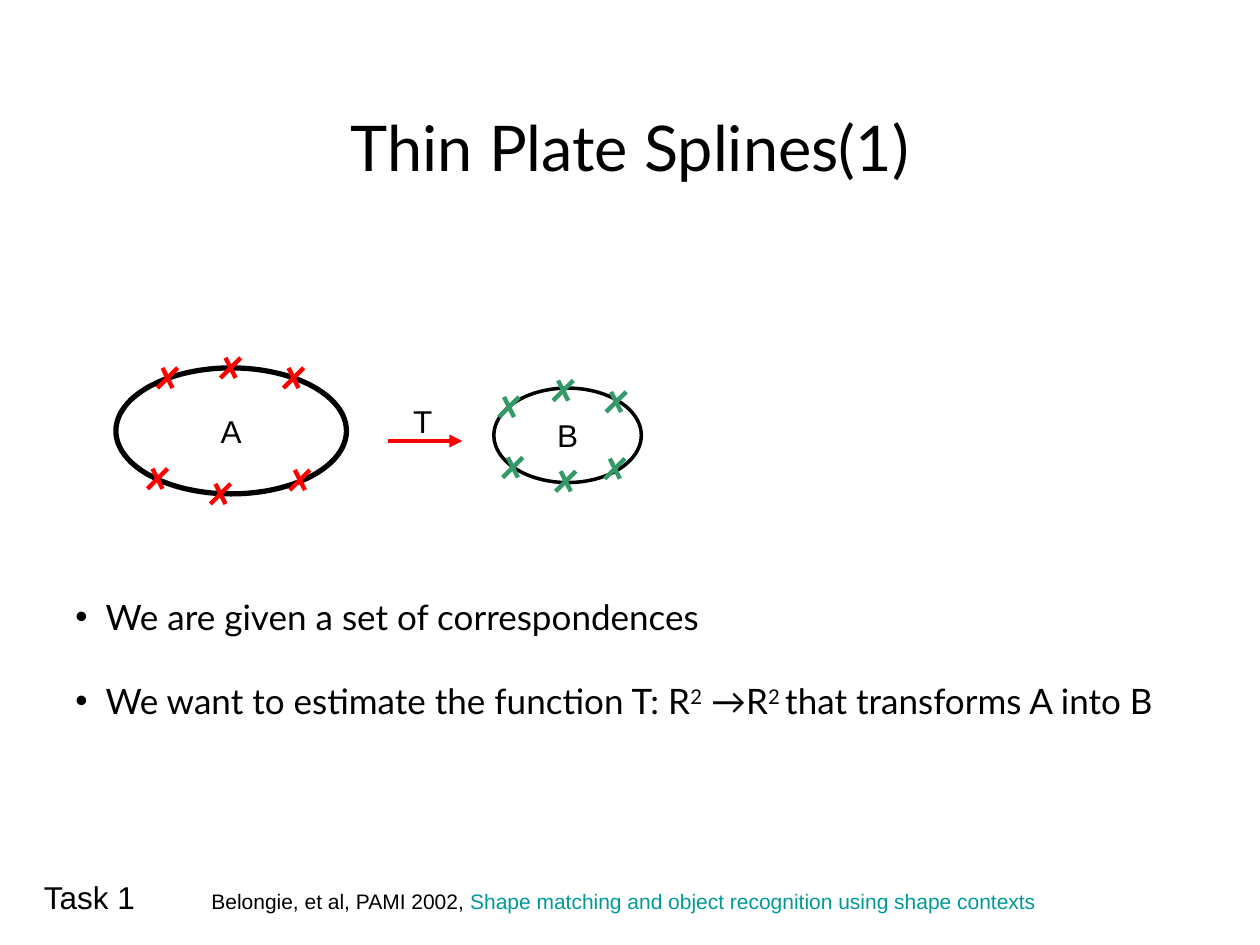
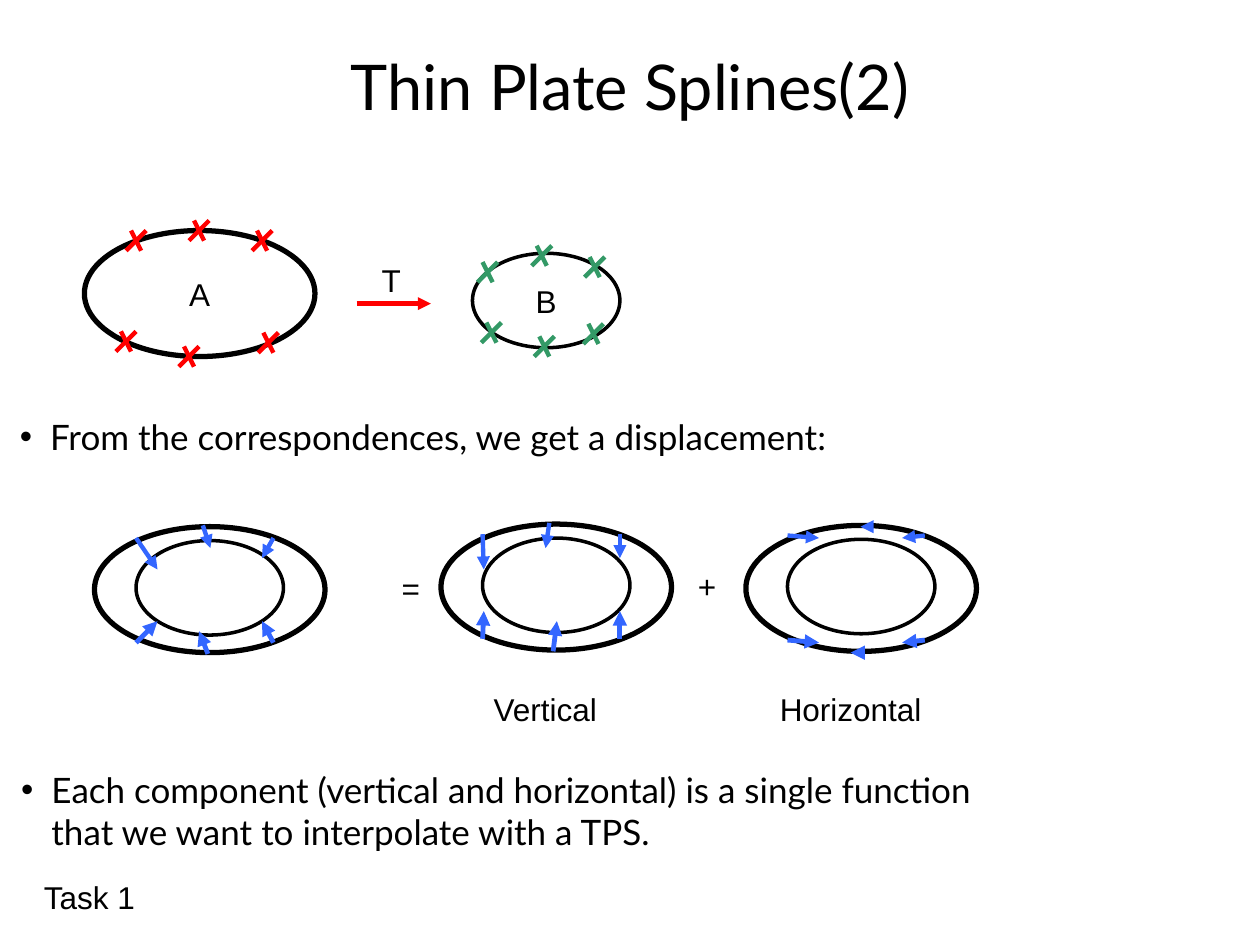
import pptx
import pptx.dml.color
import pptx.enum.shapes
import pptx.enum.text
import pptx.oxml.ns
import pptx.util
from lxml import etree

Inches = pptx.util.Inches
Pt = pptx.util.Pt

BLACK, RED, GREEN, BLUE, TEAL = "000000", "FF0000", "339966", "3366FF", "009999"
BODY_FONT, LABEL_FONT = "Lato", "Arial"

OUTER_SIZE, INNER_SIZE = (1.83, 1), (1.17, 0.75)
INNER_OFFSET = (0.33, 0.11)
CROSS_SIZE = 0.16

MARKS_A = [(0.33, 0), (0.83, -0.08), (1.33, 0), (0.25, 0.8), (0.75, 0.92), (1.38, 0.81)]
MARKS_B = [(0.04, 0.07), (0.47, -0.06), (0.89, 0.03), (0.88, 0.56), (0.49, 0.66), (0.07, 0.55)]

SLIDES = [
    {
        "title": ("Thin Plate Splines(1)", 0.81),
        "mapping": {"a": (0.92, 2.92), "b": (3.92, 3.08), "label_top": 3.14},
        "bullets": [
            ((0.5, 4.68, 9.3, 1.1), [
                [("We are given a set of correspondences", 0)],
                [("We want to estimate the function T: R", 0), ("2", 30), (" →R", 0),
                 ("2 ", 30), ("that transforms A into B", 0)],
            ]),
        ],
        "displacements": [],
        "labels": [],
        "citation": [
            ("Belongie, et al, PAMI 2002, ", BLACK),
            ("Shape matching and object recognition using shape contexts", TEAL),
        ],
    },
    {
        "title": ("Thin Plate Splines(2)", 0.33),
        "mapping": {"a": (0.67, 1.83), "b": (3.75, 2.01), "label_top": 2.02},
        "bullets": [
            ((0.06, 3.25, 7.2, 0.44), [
                [("From the correspondences, we get a displacement:", 0)],
            ]),
            ((0.07, 6.05, 8.4, 0.77), [
                [("Each component (vertical and horizontal) is a single function\n"
                  "that we want to interpolate with a TPS.", 0)],
            ]),
        ],
        "displacements": [
            ((0.75, 4.18), [
                (0.33, 0.09, 0.5, 0.34), (0.86, -0.01, 0.92, 0.17), (1.42, 0.09, 1.33, 0.25),
                (0.33, 0.92, 0.5, 0.75), (0.9, 1.01, 0.83, 0.83), (1.42, 0.92, 1.33, 0.75),
            ]),
            ((3.5, 4.16), [
                (0.33, 0.08, 0.34, 0.36), (0.86, -0.01, 0.83, 0.19), (1.42, 0.08, 1.42, 0.27),
                (0.33, 0.91, 0.34, 0.69), (0.89, 1.01, 0.92, 0.77), (1.42, 0.91, 1.42, 0.69),
            ]),
            ((5.92, 4.17), [
                (0.33, 0.08, 0.58, 0.1), (1, 0.01, 0.91, 0.01), (1.42, 0.08, 1.24, 0.1),
                (0.33, 0.91, 0.58, 0.93), (0.89, 1.01, 0.83, 1.01), (1.42, 0.91, 1.24, 0.93),
            ]),
        ],
        "labels": [
            ("=", (3.09, 4.47, 0.4, 0.4)),
            ("+", (5.44, 4.45, 0.4, 0.4)),
            ("Vertical", (3.82, 5.43, 1.2, 0.4)),
            ("Horizontal", (6.09, 5.43, 1.58, 0.4)),
        ],
        "citation": [],
    },
]


def color(value):
    return pptx.dml.color.RGBColor.from_string(value)


def add_span(para, text, size, font, fill=BLACK, baseline=0):
    for index, line in enumerate(text.split("\n")):
        if index:
            para.add_line_break()
        span = para.add_run()
        span.text = line
        span.font.size = Pt(size)
        span.font.name = font
        span.font.color.rgb = color(fill)
        if baseline:
            span.font._element.set("baseline", str(baseline * 1000))


def add_box(page, bounds):
    box = page.shapes.add_textbox(*map(Inches, bounds))
    box.text_frame.word_wrap = True
    return box.text_frame


def add_label(page, text, bounds):
    add_span(add_box(page, bounds).paragraphs[0], text, 18, LABEL_FONT)


def add_title(page, text, top):
    para = add_box(page, (2.4, top, 5.2, 0.7)).paragraphs[0]
    para.alignment = pptx.enum.text.PP_ALIGN.CENTER
    add_span(para, text, 36, BODY_FONT)


def add_bullets(page, bounds, items):
    frame = add_box(page, bounds)
    for index, spans in enumerate(items):
        para = frame.add_paragraph() if index else frame.paragraphs[0]
        para.space_before = Pt(24 if index else 0)
        properties = para._p.get_or_add_pPr()
        indent = Inches(0.24)
        properties.set("marL", str(indent))
        properties.set("indent", str(-indent))
        bullet_font = etree.SubElement(properties, pptx.oxml.ns.qn("a:buFont"))
        bullet_font.set("typeface", "Arial")
        etree.SubElement(properties, pptx.oxml.ns.qn("a:buChar")).set("char", "•")
        for text, baseline in spans:
            add_span(para, text, 20, BODY_FONT, baseline=baseline)


def add_ellipse(page, corner, size, width, text=""):
    ellipse = page.shapes.add_shape(
        pptx.enum.shapes.MSO_SHAPE.OVAL, *map(Inches, corner + size))
    ellipse.shadow.inherit = False
    ellipse.fill.background()
    ellipse.line.color.rgb = color(BLACK)
    ellipse.line.width = Pt(width)
    if text:
        frame = ellipse.text_frame
        frame.vertical_anchor = pptx.enum.text.MSO_ANCHOR.MIDDLE
        frame.paragraphs[0].alignment = pptx.enum.text.PP_ALIGN.CENTER
        add_span(frame.paragraphs[0], text, 18, LABEL_FONT)


def add_line(shapes, corner, ends, stroke, width=2.5, arrow=False):
    x, y = corner
    x1, y1, x2, y2 = ends
    line = shapes.add_connector(
        pptx.enum.shapes.MSO_CONNECTOR.STRAIGHT,
        *map(Inches, (x + x1, y + y1, x + x2, y + y2)))
    line.line.color.rgb = color(stroke)
    line.line.width = Pt(width)
    if arrow:
        tail = etree.SubElement(line.line._get_or_add_ln(), pptx.oxml.ns.qn("a:tailEnd"))
        tail.set("type", "triangle")
    etree.SubElement(line._element.spPr, pptx.oxml.ns.qn("a:effectLst"))


def add_crosses(page, corner, marks, stroke):
    for x, y in marks:
        cross = page.shapes.add_group_shape()
        place = (corner[0] + x, corner[1] + y)
        add_line(cross.shapes, place, (0.04, 0, 0.12, CROSS_SIZE), stroke)
        add_line(cross.shapes, place, (0, CROSS_SIZE, CROSS_SIZE, 0), stroke)


def add_mapping(page, a, b, label_top):
    add_ellipse(page, a, OUTER_SIZE, 3, "A")
    add_ellipse(page, b, INNER_SIZE, 2, "B")
    add_line(page.shapes, a, (2.16, 0.58, 2.75, 0.58), RED, arrow=True)
    add_crosses(page, a, MARKS_A, RED)
    add_crosses(page, b, MARKS_B, GREEN)
    add_label(page, "T", (a[0] + 2.26, label_top, 0.4, 0.4))


def add_displacement(page, corner, arrows):
    inner_corner = (corner[0] + INNER_OFFSET[0], corner[1] + INNER_OFFSET[1])
    add_ellipse(page, inner_corner, INNER_SIZE, 2)
    add_ellipse(page, corner, OUTER_SIZE, 3)
    for index, ends in enumerate(arrows):
        width = 2.5 if index < 3 else 2.75
        add_line(page.shapes, corner, ends, BLUE, width, arrow=True)


def add_citation(page, spans):
    para = add_box(page, (1.58, 7, 7, 0.3)).paragraphs[0]
    for text, fill in spans:
        add_span(para, text, 12, LABEL_FONT, fill)


def main():
    deck = pptx.Presentation()
    deck.slide_width, deck.slide_height = Inches(10), Inches(7.5)
    for content in SLIDES:
        page = deck.slides.add_slide(deck.slide_layouts[6])
        add_title(page, *content["title"])
        add_mapping(page, **content["mapping"])
        for corner, arrows in content["displacements"]:
            add_displacement(page, corner, arrows)
        for text, bounds in content["labels"]:
            add_label(page, text, bounds)
        for bounds, items in content["bullets"]:
            add_bullets(page, bounds, items)
        if content["citation"]:
            add_citation(page, content["citation"])
        add_label(page, "Task 1", (0.25, 6.92, 1.1, 0.4))
    deck.save("out.pptx")


if __name__ == "__main__":
    main()
